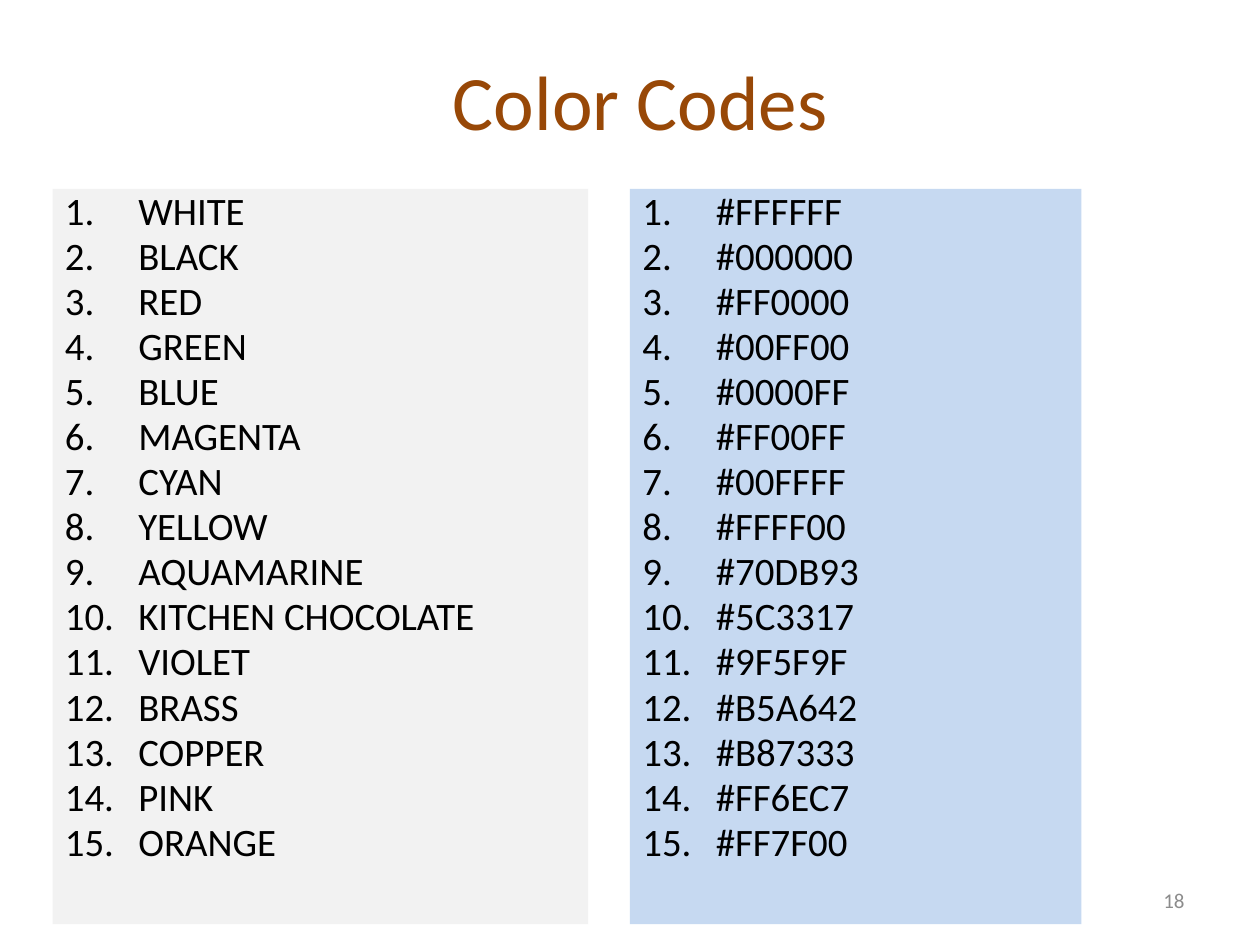
from dataclasses import dataclass

from lxml.etree import SubElement
from pptx import Presentation
from pptx.dml.color import RGBColor as Rgb
from pptx.enum.shapes import MSO_SHAPE as Preset
from pptx.enum.text import MSO_ANCHOR as Anchor, PP_ALIGN as Align
from pptx.oxml.ns import qn
from pptx.util import Cm, Pt


@dataclass(frozen=True)
class Theme:
    font: str = "Calibri"
    title: str = "984807"
    body: str = "000000"
    muted: str = "8C8C8C"
    names_fill: str = "F2F2F2"
    codes_fill: str = "C6D9F1"
    title_size: float = 44
    body_size: float = 22.2
    number_size: float = 12
    line_spacing: float = 0.8
    space_before: float = 4.44


@dataclass(frozen=True)
class Panel:
    left: float
    width: float
    fill: str
    entries: list[str]


THEME = Theme()
PANEL_TOP, PANEL_HEIGHT = 3.81, 14.82
HANGING = Cm(1.48)

COLORS = [
    ("WHITE", "#FFFFFF"),
    ("BLACK", "#000000"),
    ("RED", "#FF0000"),
    ("GREEN", "#00FF00"),
    ("BLUE", "#0000FF"),
    ("MAGENTA", "#FF00FF"),
    ("CYAN", "#00FFFF"),
    ("YELLOW", "#FFFF00"),
    ("AQUAMARINE", "#70DB93"),
    ("KITCHEN CHOCOLATE", "#5C3317"),
    ("VIOLET", "#9F5F9F"),
    ("BRASS", "#B5A642"),
    ("COPPER", "#B87333"),
    ("PINK", "#FF6EC7"),
    ("ORANGE", "#FF7F00"),
]


def number_paragraph(paragraph) -> None:
    """Give a paragraph a hanging automatic number."""
    properties = paragraph._p.get_or_add_pPr()
    properties.set("marL", str(HANGING))
    properties.set("indent", str(-HANGING))
    SubElement(properties, qn("a:buFont"), typeface="+mj-lt")
    SubElement(properties, qn("a:buAutoNum"), type="arabicPeriod")


def write(shape, lines: list[str], *, size: float, color: str,
          align=Align.LEFT, anchor=Anchor.MIDDLE, numbered: bool = False) -> None:
    frame = shape.text_frame
    frame.word_wrap = True
    frame.vertical_anchor = anchor
    for index, line in enumerate(lines):
        paragraph = frame.add_paragraph() if index else frame.paragraphs[0]
        paragraph.alignment = align
        if numbered:
            paragraph.line_spacing = THEME.line_spacing
            paragraph.space_before = Pt(THEME.space_before)
            number_paragraph(paragraph)
        run = paragraph.add_run()
        run.text = line
        run.font.name = THEME.font
        run.font.size = Pt(size)
        run.font.color.rgb = Rgb.from_string(color)


def draw_panel(slide, panel: Panel) -> None:
    box = slide.shapes.add_shape(Preset.RECTANGLE, Cm(panel.left), Cm(PANEL_TOP),
                                 Cm(panel.width), Cm(PANEL_HEIGHT))
    box.shadow.inherit = False
    box.fill.solid()
    box.fill.fore_color.rgb = Rgb.from_string(panel.fill)
    box.line.fill.background()
    write(box, panel.entries, size=THEME.body_size, color=THEME.body,
          anchor=Anchor.TOP, numbered=True)


deck = Presentation()
deck.slide_width, deck.slide_height = Cm(25.4), Cm(19.05)
slide = deck.slides.add_slide(deck.slide_layouts[6])

# Slide number
page = slide.shapes.add_textbox(Cm(18.2), Cm(17.65), Cm(5.93), Cm(1.01))
write(page, ["18"], size=THEME.number_size, color=THEME.muted, align=Align.RIGHT)

# Color names beside their codes
names, codes = (list(column) for column in zip(*COLORS))
for panel in (Panel(1.06, 10.8, THEME.names_fill, names),
              Panel(12.7, 9.1, THEME.codes_fill, codes)):
    draw_panel(slide, panel)

# Title
heading = slide.shapes.add_textbox(Cm(1.48), Cm(0.42), Cm(22.86), Cm(3.18))
write(heading, ["Color Codes"], size=THEME.title_size, color=THEME.title,
      align=Align.CENTER)

deck.save("out.pptx")
